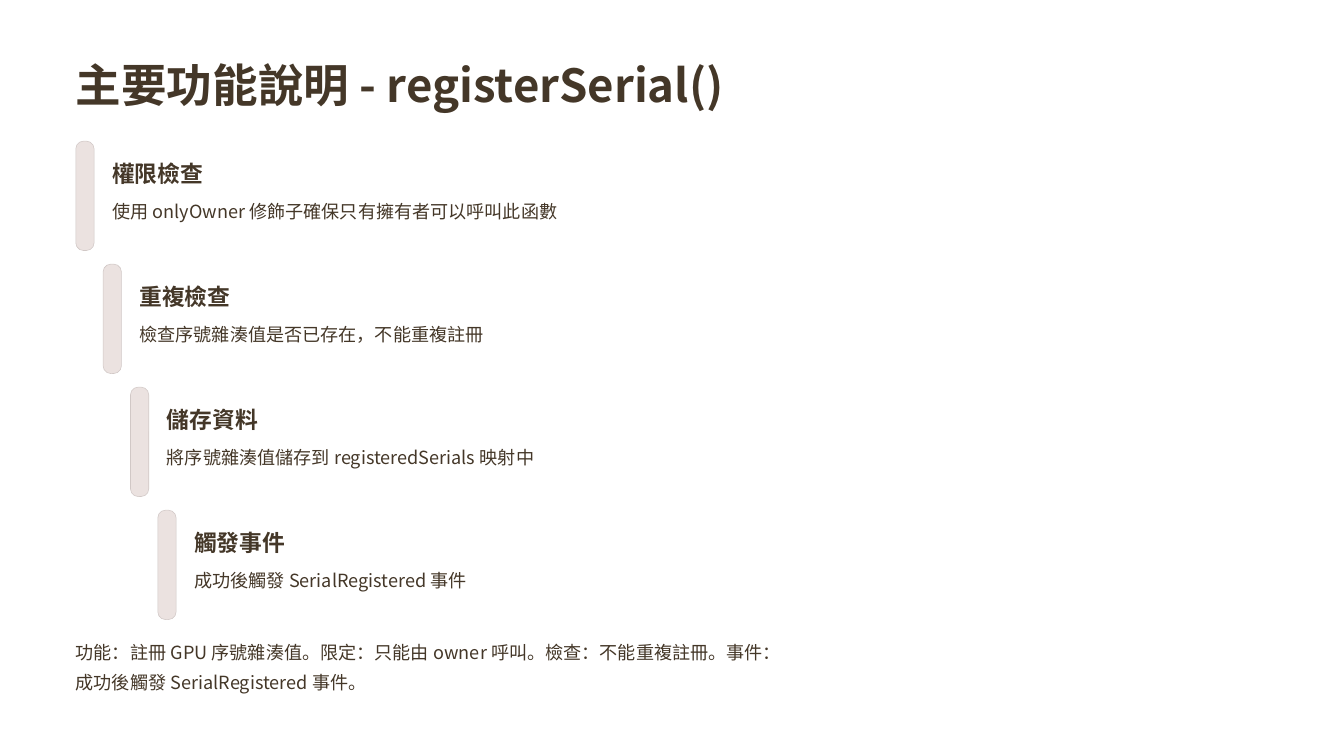
from dataclasses import dataclass

import pptx
import pptx.dml.color
import pptx.enum.shapes
import pptx.enum.text
import pptx.oxml.ns
import pptx.util
from lxml import etree

Pt = pptx.util.Pt

FONT = "Noto Sans CJK SC"
INK = "443728"
BAR_FILL = "EBE2E0"
BAR_LINE = "D1C8C6"

LEFT, RIGHT = 81.2, 825
STEPS_TOP = 151.2
STEP_DOWN, STEP_RIGHT = 131.8, 29.3
BAR_WIDTH, BAR_HEIGHT, BAR_RADIUS = 19.6, 117.2, 8.2
TEXT_INDENT = 39


@dataclass(frozen=True)
class TextStyle:
    size: float
    line_height: float
    bold: bool = False


@dataclass(frozen=True)
class Step:
    heading: str
    detail: str


TITLE = TextStyle(48.8, 60.6, True)
HEADING = TextStyle(24.4, 30, True)
BODY = TextStyle(19.4, 31.2)

STEPS = [
    Step("權限檢查", "使用 onlyOwner 修飾子確保只有擁有者可以呼叫此函數"),
    Step("重複檢查", "檢查序號雜湊值是否已存在，不能重複註冊"),
    Step("儲存資料", "將序號雜湊值儲存到 registeredSerials 映射中"),
    Step("觸發事件", "成功後觸發 SerialRegistered 事件"),
]
SUMMARY = (
    "功能：註冊 GPU 序號雜湊值。限定：只能由 owner 呼叫。"
    "檢查：不能重複註冊。事件：成功後觸發 SerialRegistered 事件。"
)


def color(value: str) -> pptx.dml.color.RGBColor:
    return pptx.dml.color.RGBColor.from_string(value)


def add_text(page, text: str, style: TextStyle, left: float, top: float,
             width: float, height: float) -> None:
    box = page.shapes.add_textbox(Pt(left), Pt(top), Pt(width), Pt(height))
    frame = box.text_frame
    frame.word_wrap = True
    frame.auto_size = pptx.enum.text.MSO_AUTO_SIZE.SHAPE_TO_FIT_TEXT
    frame.margin_left = frame.margin_right = 0
    frame.margin_top = frame.margin_bottom = 0
    para = frame.paragraphs[0]
    para.line_spacing = Pt(style.line_height)
    span = para.add_run()
    span.text = text
    span.font.size = Pt(style.size)
    span.font.bold = style.bold
    span.font.color.rgb = color(INK)
    span.font.name = FONT
    # East Asian characters need their own typeface entry
    east_asian = etree.SubElement(span.font._element, pptx.oxml.ns.qn("a:ea"))
    east_asian.set("typeface", FONT)


def add_step(page, step: Step, index: int) -> None:
    left = LEFT + index * STEP_RIGHT
    top = STEPS_TOP + index * STEP_DOWN
    bar = page.shapes.add_shape(
        pptx.enum.shapes.MSO_SHAPE.ROUNDED_RECTANGLE,
        Pt(left), Pt(top), Pt(BAR_WIDTH), Pt(BAR_HEIGHT))
    bar.adjustments[0] = BAR_RADIUS / BAR_WIDTH
    bar.shadow.inherit = False
    bar.fill.solid()
    bar.fill.fore_color.rgb = color(BAR_FILL)
    bar.line.color.rgb = color(BAR_LINE)
    bar.line.width = Pt(0.6)

    text_left = left + TEXT_INDENT
    add_text(page, step.heading, HEADING, text_left, top + 19.4, 244, 29)
    add_text(page, step.detail, BODY, text_left, top + 55.4, RIGHT - text_left, 29)


def main() -> None:
    deck = pptx.Presentation()
    deck.slide_width, deck.slide_height = Pt(1440), Pt(810)
    page = deck.slides.add_slide(deck.slide_layouts[6])
    page.background.fill.solid()
    page.background.fill.fore_color.rgb = color("FFFFFF")

    # Title
    add_text(page, "主要功能說明 - registerSerial()", TITLE, LEFT, 59, 922, 60.6)

    # Staircase of steps
    for index, step in enumerate(STEPS):
        add_step(page, step, index)

    # Summary
    add_text(page, SUMMARY, BODY, LEFT, 679.7, RIGHT - LEFT, 60)

    deck.save("out.pptx")


if __name__ == "__main__":
    main()
